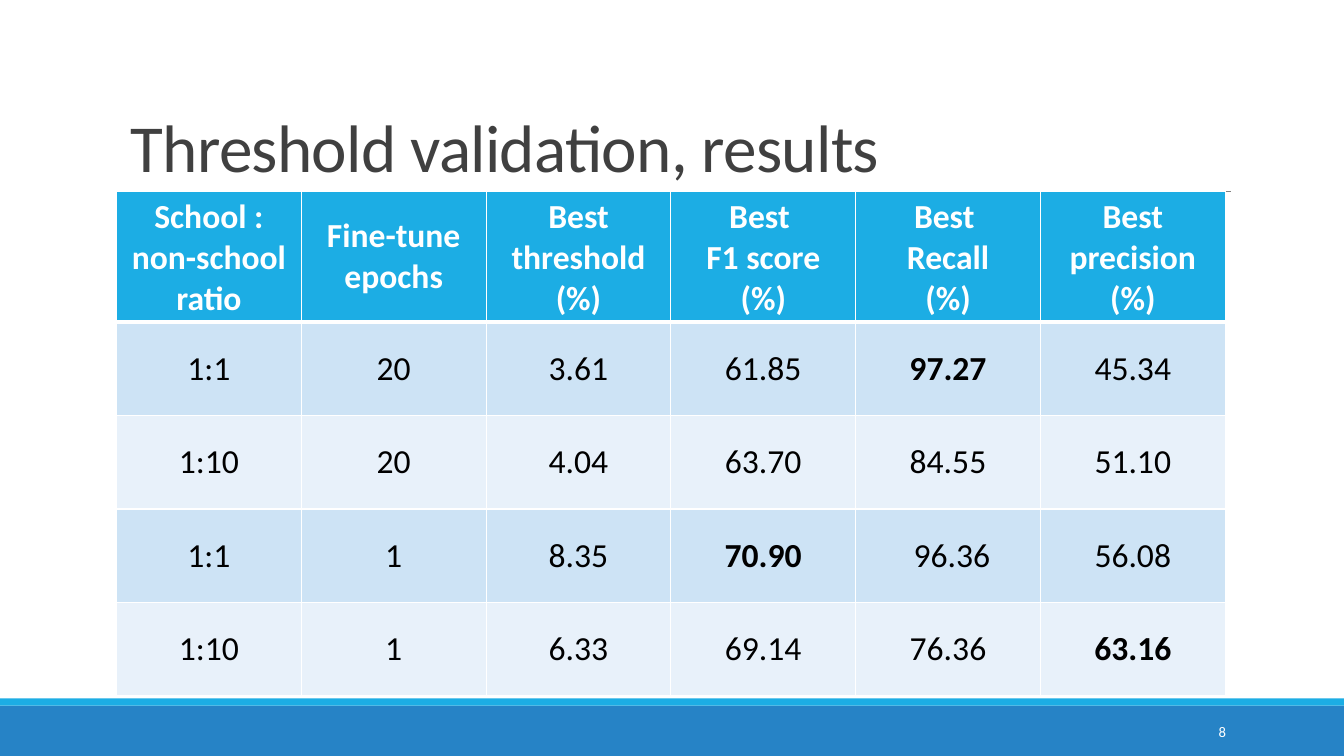
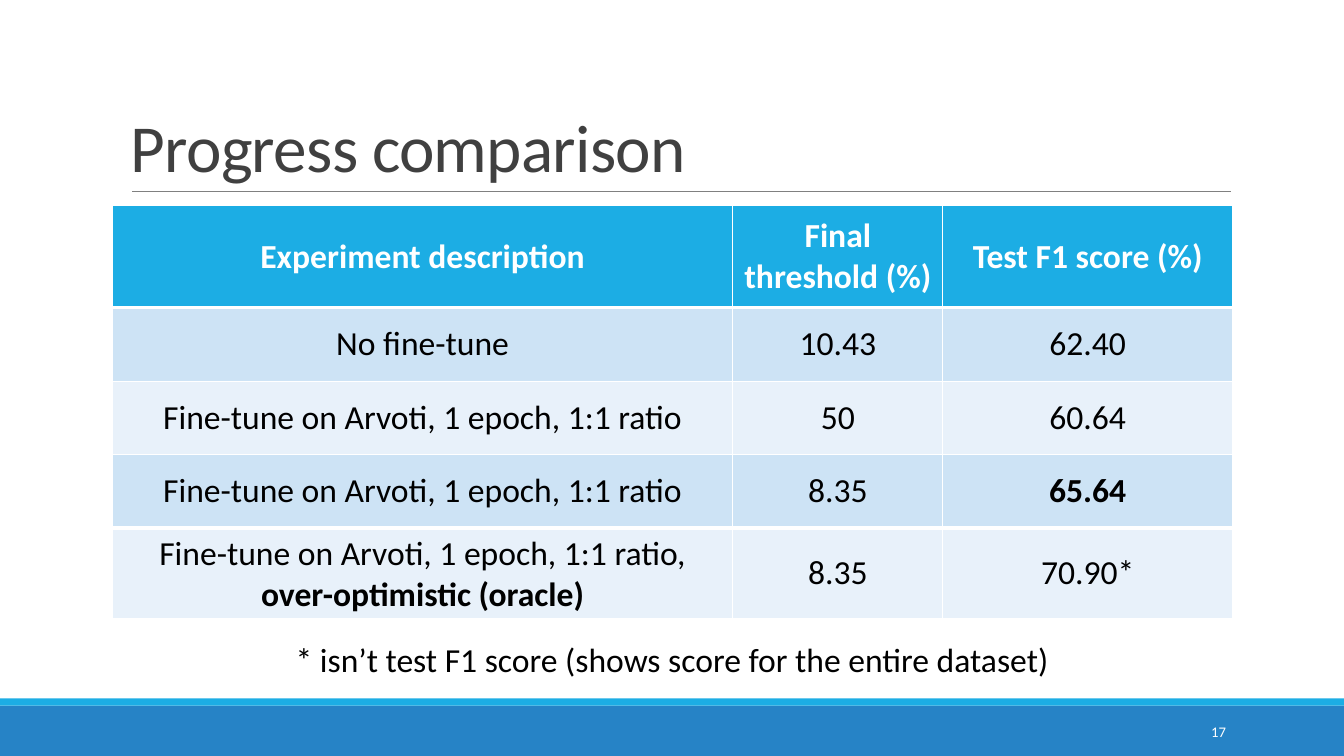
"""Build two result slides, each with a title, a table and a page number."""
from lxml.etree import SubElement
from pptx import Presentation
from pptx.dml.color import RGBColor
from pptx.enum.shapes import MSO_CONNECTOR, MSO_SHAPE
from pptx.enum.text import MSO_ANCHOR, PP_ALIGN
from pptx.oxml import parse_xml
from pptx.oxml.ns import nsdecls, qn
from pptx.util import Emu, Pt

PX = 9525
FONT = "Calibri"
WHITE, BLACK, TITLE_GREY, RULE_GREY = "FFFFFF", "000000", "404040", "808080"
BLUE, SKY = "2683C6", "1CADE4"
ROW_FILLS = ("CDE3F5", "E8F1FA")
THIN, THICK = 1, 3

SLIDE_SIZE = (1280, 720)
BANDS = [((0, 672, 1280, 48), BLUE), ((0, 665, 1280, 7), SKY)]
TITLE_RULE = (126, 182, 1172, 182)
TITLE_BOX = (115, 30, 1056, 152)
NUMBER_BOX = (1040, 678, 137, 38)
NOTE_BOX = (266, 604, 748, 48)

SLIDES = [
    {
        "title": "Threshold validation, results",
        "number": "8",
        "origin": (111, 182),
        "columns": [176] * 6,
        "rows": [123] + [89] * 4,
        "thick_after": {0},
        "cells": [
            ("School : non-school ratio", "Fine-tune epochs", "Best threshold (%)",
             "Best \nF1 score (%)", "Best \nRecall\n(%)", "Best precision (%)"),
            ("1:1", "20", "3.61", "61.85", "**97.27**", "45.34"),
            ("1:10", "20", "4.04", "63.70", "84.55", "51.10"),
            ("1:1", "1", "8.35", "**70.90**", " 96.36", "56.08"),
            ("1:10", "1", "6.33", "69.14", "76.36", "**63.16**"),
        ],
    },
    {
        "title": "Progress comparison",
        "number": "17",
        "origin": (107, 196),
        "columns": [591, 200, 276],
        "rows": [97] + [70] * 4,
        "thick_after": {0, 3},
        "cells": [
            ("Experiment description", "Final threshold (%)", "Test F1 score (%)"),
            ("No fine-tune", "10.43", "62.40"),
            ("Fine-tune on Arvoti, 1 epoch, 1:1 ratio", "50", "60.64"),
            ("Fine-tune on Arvoti, 1 epoch, 1:1 ratio", "8.35", "**65.64**"),
            ("Fine-tune on Arvoti, 1 epoch, 1:1 ratio, **over-optimistic (oracle)**",
             "8.35", "70.90*"),
        ],
        "note": "* isn’t test F1 score (shows score for the entire dataset)",
    },
]


def px(*lengths):
    """Turn pixel lengths into EMU."""
    return [Emu(length * PX) for length in lengths]


def color(value):
    """Turn a hex string into a colour."""
    return RGBColor.from_string(value)


def write(frame, text, size, fill, align=PP_ALIGN.LEFT, bold=False):
    """Write lines as paragraphs, with bold runs between double asterisks."""
    for index, line in enumerate(text.split("\n")):
        paragraph = frame.add_paragraph() if index else frame.paragraphs[0]
        paragraph.alignment = align
        for part, words in enumerate(line.split("**")):
            if words:
                run = paragraph.add_run()
                run.text = words
                run.font.name = FONT
                run.font.size = Pt(size)
                run.font.bold = bold or part % 2 == 1
                run.font.color.rgb = color(fill)


def add_text(slide, box, text, size, fill, align=PP_ALIGN.LEFT, anchor=MSO_ANCHOR.TOP):
    """Add a wrapping text box and return its text frame."""
    frame = slide.shapes.add_textbox(*px(*box)).text_frame
    frame.word_wrap = True
    frame.vertical_anchor = anchor
    write(frame, text, size, fill, align)
    return frame


def add_frame(slide, title, number):
    """Add the bands, title, rule and page number that every slide has."""
    for box, fill in BANDS:
        band = slide.shapes.add_shape(MSO_SHAPE.RECTANGLE, *px(*box))
        band.shadow.inherit = False
        band.fill.solid()
        band.fill.fore_color.rgb = color(fill)
        band.line.fill.background()
    rule = slide.shapes.add_connector(MSO_CONNECTOR.STRAIGHT, *px(*TITLE_RULE))
    rule.line.color.rgb = color(RULE_GREY)
    rule.line.width = Pt(0.5)
    SubElement(rule._element.spPr, qn("a:effectLst"))
    frame = add_text(slide, TITLE_BOX, title, 48, TITLE_GREY, anchor=MSO_ANCHOR.BOTTOM)
    paragraph = frame.paragraphs[0]
    paragraph.line_spacing = 0.85
    paragraph.runs[0]._r.get_or_add_rPr().set("spc", "-50")
    add_text(slide, NUMBER_BOX, number, 10.5, WHITE, PP_ALIGN.RIGHT, MSO_ANCHOR.MIDDLE)


def set_borders(cell, top, bottom):
    """Give a cell white borders, with the given top and bottom widths."""
    widths = {"lnL": THIN, "lnR": THIN, "lnT": top, "lnB": bottom}
    properties = cell._tc.get_or_add_tcPr()
    for index, (tag, width) in enumerate(widths.items()):
        properties.insert(index, parse_xml(
            f'<a:{tag} {nsdecls("a")} w="{Pt(width)}"><a:solidFill>'
            f'<a:srgbClr val="{WHITE}"/></a:solidFill></a:{tag}>'))


def add_result_table(slide, content):
    """Add a table with a sky header and two alternating row fills."""
    columns, rows = content["columns"], content["rows"]
    box = (*content["origin"], sum(columns), sum(rows))
    table = slide.shapes.add_table(len(rows), len(columns), *px(*box)).table
    for column, width in zip(table.columns, px(*columns)):
        column.width = width
    for row, height in zip(table.rows, px(*rows)):
        row.height = height
    thick = content["thick_after"]
    for row_index, texts in enumerate(content["cells"]):
        header = row_index == 0
        for column_index, text in enumerate(texts):
            cell = table.cell(row_index, column_index)
            cell.vertical_anchor = MSO_ANCHOR.MIDDLE
            cell.fill.solid()
            cell.fill.fore_color.rgb = color(SKY if header else ROW_FILLS[(row_index - 1) % 2])
            set_borders(cell, THICK if row_index - 1 in thick else THIN,
                        THICK if row_index in thick else THIN)
            write(cell.text_frame, text, 24, WHITE if header else BLACK,
                  PP_ALIGN.CENTER, header)


def main():
    """Build and save the presentation."""
    presentation = Presentation()
    presentation.slide_width, presentation.slide_height = px(*SLIDE_SIZE)
    for content in SLIDES:
        slide = presentation.slides.add_slide(presentation.slide_layouts[6])
        add_frame(slide, content["title"], content["number"])
        add_result_table(slide, content)
        if "note" in content:
            add_text(slide, NOTE_BOX, content["note"], 24, BLACK, PP_ALIGN.CENTER)
    presentation.save("out.pptx")


if __name__ == "__main__":
    main()
